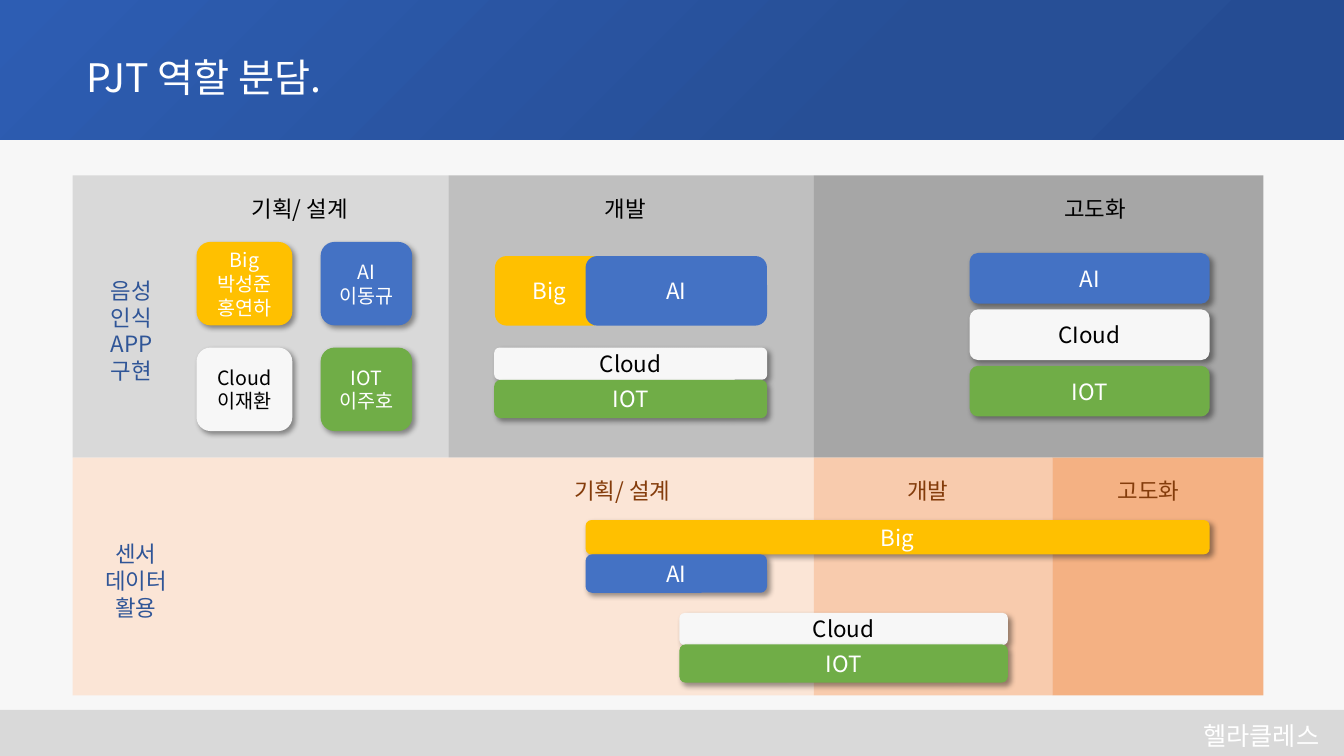
from lxml.etree import SubElement
from pptx import Presentation
from pptx.dml.color import RGBColor
from pptx.enum.shapes import MSO_SHAPE as Preset
from pptx.enum.text import MSO_ANCHOR as Anchor, PP_ALIGN as Align
from pptx.oxml import parse_xml
from pptx.oxml.ns import nsdecls, qn
from pptx.util import Pt

FONT = "Noto Sans CJK KR"
WHITE, BLACK, PALE = "FFFFFF", "000000", "F7F7F7"
NAVY, BROWN = "2F5597", "843C0B"
ROLE_COLORS = {
    "Big": ("FFC000", WHITE),
    "AI": ("4472C4", WHITE),
    "Cloud": (PALE, BLACK),
    "IOT": ("70AD47", WHITE),
}
STAGES = ("기획/ 설계", "개발", "고도화")
STAGE_WIDTHS = (96.5, 54.7, 74.2)


def rgb(value):
    """Turn a hex string into a colour."""
    return RGBColor.from_string(value)


def write(shape, text, size=16, color=WHITE, align=Align.CENTER, anchor=Anchor.MIDDLE, wrap=True):
    """Put text into a shape, one paragraph per line."""
    frame = shape.text_frame
    frame.word_wrap = wrap
    frame.vertical_anchor = anchor
    for index, line in enumerate(text.split("\n")):
        paragraph = frame.add_paragraph() if index else frame.paragraphs[0]
        paragraph.alignment = align
        run = paragraph.add_run()
        run.text = line
        run.font.size = Pt(size)
        run.font.name = FONT
        run.font.color.rgb = rgb(color)
        SubElement(run.font._element, qn("a:ea"), typeface=FONT)


def add_box(slide, left, top, width, height, fill=None, preset=Preset.RECTANGLE):
    """Add a borderless shape without shadow."""
    shape = slide.shapes.add_shape(preset, Pt(left), Pt(top), Pt(width), Pt(height))
    shape.shadow.inherit = False
    shape.line.fill.background()
    if fill:
        shape.fill.solid()
        shape.fill.fore_color.rgb = rgb(fill)
    else:
        shape.fill.background()
    return shape


def add_text(slide, left, top, width, height, text, **formatting):
    """Add a text box."""
    box = slide.shapes.add_textbox(Pt(left), Pt(top), Pt(width), Pt(height))
    write(box, text, **formatting)


def add_label(slide, left, top, width, height, text, **formatting):
    """Add an unfilled rounded label."""
    write(add_box(slide, left, top, width, height, preset=Preset.ROUNDED_RECTANGLE), text, **formatting)


def add_shadow(shape):
    """Give a shape a soft shadow to the lower right."""
    effects = shape._element.spPr.find(qn("a:effectLst"))
    shadow = SubElement(effects, qn("a:outerShdw"), blurRad=str(Pt(4)), dist=str(Pt(3)),
                        dir="2700000", algn="tl", rotWithShape="0")
    color = SubElement(shadow, qn("a:prstClr"), val="black")
    SubElement(color, qn("a:alpha"), val="40000")


def add_role(slide, left, top, width, height, role, text=None, size=16, shadow=True):
    """Add a rounded bar in the colours of a role."""
    fill, color = ROLE_COLORS[role]
    bar = add_box(slide, left, top, width, height, fill, Preset.ROUNDED_RECTANGLE)
    write(bar, text or role, size=size, color=color)
    if shadow:
        add_shadow(bar)


def add_header(slide, left, top, width, height):
    """Draw the gradient header and the title."""
    band = add_box(slide, left, top, width, height)
    stops = "".join(
        f'<a:gs pos="{position}000"><a:srgbClr val="{color}"/></a:gs>'
        for position, color in ((0, "254C93"), (34, "274F96"), (100, "2D5DB3")))
    gradient = parse_xml(
        f'<a:gradFill {nsdecls("a")} rotWithShape="1"><a:gsLst>{stops}</a:gsLst>'
        '<a:path path="circle"><a:fillToRect l="100000" t="100000"/></a:path></a:gradFill>')
    properties = band._element.spPr
    properties.replace(properties.find(qn("a:noFill")), gradient)
    add_text(slide, left + 54.7, top + 34.6, 185, 41, "PJT 역할 분담.",
             size=28, align=Align.LEFT, anchor=Anchor.TOP, wrap=False)


def add_footer(slide, left, top, width, height):
    """Draw the footer band and the team name."""
    add_box(slide, left, top, width, height, "D9D9D9")
    add_text(slide, left + width - 118, top + 4.3, 118, 28.8, "헬라클레스", size=18, anchor=Anchor.TOP)


def add_stages(slide, left, top, height, edges, fills, label_lefts, color):
    """Draw the stage bands of a row with their headings."""
    for start, end, fill in zip(edges, edges[1:], fills):
        add_box(slide, left + start, top, end - start, height, fill)
    for name, offset, width in zip(STAGES, label_lefts, STAGE_WIDTHS):
        add_label(slide, left + offset, top + 8.6, width, 29.5, name, color=color, align=Align.LEFT)


def add_voice_row(slide, left, top, width, height):
    """Draw the voice recognition app row."""
    add_stages(slide, left, top, height, (0, 268.2, 529.4, width),
               ("D9D9D9", "BFBFBF", "A6A6A6"), (119.4, 371.4, 699.7), BLACK)
    add_label(slide, left + 10.6, top + 65.5, 62.6, 90.7, "음성인식\nAPP구현", color=NAVY)

    members = ("박성준 홍연하", "이동규", "이재환", "이주호")
    columns = ((88.4, 68.4), (177, 65.4))
    for index, (role, names) in enumerate(zip(ROLE_COLORS, members)):
        row, column = divmod(index, 2)
        offset, card_width = columns[column]
        add_role(slide, left + offset, top + 47.5 + row * 75.5, card_width, 59.6,
                 role, f"{role}\n{names}", size=14)

    add_role(slide, left + 301.5, top + 57.6, 77.8, 49.7, "Big", shadow=False)
    add_role(slide, left + 366.3, top + 57.6, 129.6, 49.7, "AI", shadow=False)
    add_role(slide, left + 301, top + 123, 195, 23, "Cloud")
    add_role(slide, left + 301, top + 146, 195, 27.4, "IOT")

    for index, (role, text) in enumerate((("AI", "AI"), ("Cloud", "CIoud"), ("IOT", "IOT"))):
        add_role(slide, left + 640.6, top + 55.4 + index * 40.3, 171.4, 36.2, role, text)


def add_sensor_row(slide, left, top, width, height):
    """Draw the sensor data row."""
    add_stages(slide, left, top, height, (0, 529.4, 699.7, width),
               ("FBE5D6", "F8CBAD", "F4B183"), (349.8, 587.4, 737.8), BROWN)
    add_label(slide, left + 10.6, top + 51.8, 69, 72, "센서\n데이터\n활용", color=NAVY)
    add_role(slide, left + 366.3, top + 44.6, 445.7, 24.5, "Big")
    add_role(slide, left + 366.3, top + 69.1, 129.6, 27.4, "AI")
    add_role(slide, left + 433.3, top + 110.9, 234.7, 23, "Cloud")
    add_role(slide, left + 433.3, top + 133.3, 234.7, 27.4, "IOT")


def main():
    """Build the role plan and save it."""
    presentation = Presentation()
    presentation.slide_width, presentation.slide_height = Pt(960), Pt(540)
    slide = presentation.slides.add_slide(presentation.slide_layouts[6])
    slide.background.fill.solid()
    slide.background.fill.fore_color.rgb = rgb(PALE)
    add_footer(slide, 0, 507, 960, 33)
    add_header(slide, 0, 0, 960, 100)
    add_voice_row(slide, 52, 125.3, 850.5, 201.6)
    add_sensor_row(slide, 52, 326.9, 850.5, 169.9)
    presentation.save("out.pptx")


if __name__ == "__main__":
    main()
